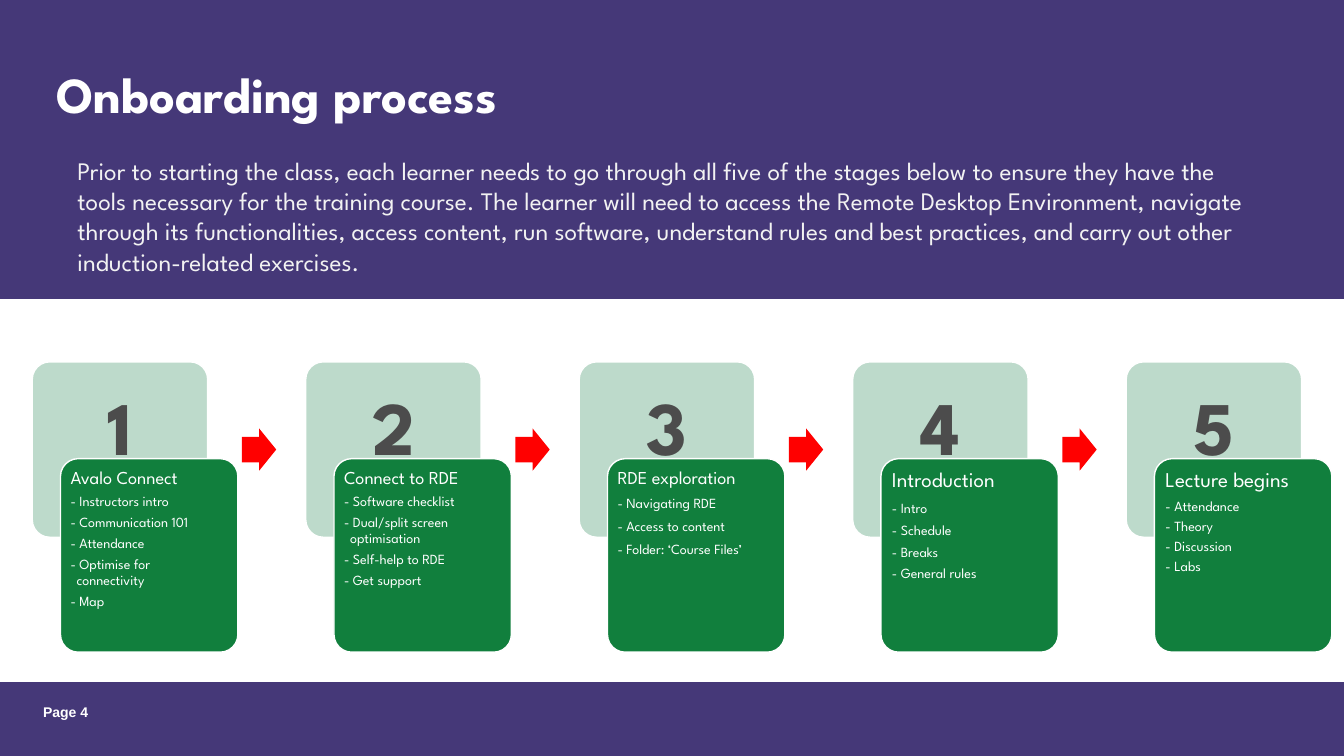
from pptx import Presentation
from pptx.dml.color import RGBColor
from pptx.enum.shapes import MSO_SHAPE
from pptx.enum.text import MSO_ANCHOR, PP_ALIGN
from pptx.util import Inches, Pt

TITLE = "Onboarding process"
INTRO = (
    "Prior to starting the class, each learner needs to go through all five of the stages "
    "below to ensure they have the tools necessary for the training course. The learner will "
    "need to access the Remote Desktop Environment, navigate through its functionalities, "
    "access content, run software, understand rules and best practices, and carry out other "
    "induction-related exercises."
)
PAGE = "Page 4"
STAGES = [
    dict(heading="Avalo Connect", heading_size=13, line=0.9, after=4.2, inset=0.05,
         steps=["Instructors intro", "Communication 101", "Attendance",
                "Optimise for connectivity", "Map"]),
    dict(heading="Connect to RDE", heading_size=13, line=0.9, after=4.2, inset=0.05,
         steps=["Software checklist", "Dual/split screen optimisation",
                "Self-help to RDE", "Get support"]),
    dict(heading="RDE exploration", heading_size=13, line=1.0, after=4.2, inset=0.05,
         steps=["Navigating RDE", "Access to content", "Folder: ‘Course Files’"]),
    dict(heading="Introduction", heading_size=15, line=1.0, after=3.5, inset=0.06,
         steps=["Intro", "Schedule", "Breaks", "General rules"]),
    dict(heading="Lecture begins", heading_size=15, line=0.9, after=3.5, inset=0.06,
         steps=["Attendance", "Theory", "Discussion", "Labs"]),
]

PURPLE, WHITE, PALE_GREEN, GREEN = "453878", "FFFFFF", "BDDACB", "117F3D"
RED, GREY, OFF_WHITE = "FF0000", "4C4C4C", "F2F2F2"
PITCH = 2.7125
HANGING = 0.06


def color(value):
    return RGBColor.from_string(value)


def add_block(kind, left, top, width, height, fill, line=None, adjust=()):
    block = slide.shapes.add_shape(
        kind, Inches(left), Inches(top), Inches(width), Inches(height))
    block.shadow.inherit = False
    block.fill.solid()
    block.fill.fore_color.rgb = color(fill)
    if line:
        block.line.color.rgb = color(line)
        block.line.width = Pt(1)
    else:
        block.line.fill.background()
    for index, value in enumerate(adjust):
        block.adjustments[index] = value


def add_frame(left, top, width, height, insets=(0.1, 0.05, 0.1, 0.05),
              anchor=MSO_ANCHOR.TOP, wrap=True):
    frame = slide.shapes.add_textbox(
        Inches(left), Inches(top), Inches(width), Inches(height)).text_frame
    frame.word_wrap = wrap
    frame.vertical_anchor = anchor
    (frame.margin_left, frame.margin_top,
     frame.margin_right, frame.margin_bottom) = map(Inches, insets)
    return frame


def write(frame, text, size, ink=WHITE, font="League Spartan", bold=False,
          align=PP_ALIGN.LEFT, line=1.0, after=0, hanging=0):
    paragraph = frame.paragraphs[0]
    if paragraph.runs:
        paragraph = frame.add_paragraph()
    paragraph.alignment = align
    paragraph.line_spacing = line
    paragraph.space_after = Pt(after)
    if hanging:
        properties = paragraph._p.get_or_add_pPr()
        properties.set("marL", str(Inches(hanging)))
        properties.set("indent", str(-Inches(hanging)))
    run = paragraph.add_run()
    run.text = text
    run.font.name = font
    run.font.size = Pt(size)
    run.font.bold = bold
    run.font.color.rgb = color(ink)


def add_stage(number, stage):
    left = 0.32 + (number - 1) * PITCH
    add_block(MSO_SHAPE.ROUNDED_RECTANGLE, left, 3.59, 1.74, 1.74,
              PALE_GREEN, WHITE, [0.1])
    add_block(MSO_SHAPE.ROUNDED_RECTANGLE, left + 0.28, 4.55, 1.76, 1.92,
              GREEN, WHITE, [0.1])
    inset = stage["inset"]
    card = add_frame(left + 0.33, 4.6, 1.66, 1.82, (inset, inset, 0.2, inset))
    write(card, stage["heading"], stage["heading_size"], line=0.9,
          after=0.35 * stage["heading_size"])
    for step in stage["steps"]:
        write(card, f"- {step}", 10, line=stage["line"], after=stage["after"],
              hanging=HANGING)
    if number < len(STAGES):
        add_block(MSO_SHAPE.RIGHT_ARROW, left + 2.08, 4.25, 0.34, 0.42,
                  RED, adjust=[0.6, 0.5])
    write(add_frame(left + 0.56, 3.72, 0.62, 1.01, wrap=False), str(number), 54,
          ink=GREY, bold=True, align=PP_ALIGN.CENTER)


deck = Presentation()
deck.slide_width, deck.slide_height = Inches(13.33), Inches(7.5)
slide = deck.slides.add_slide(deck.slide_layouts[6])

add_block(MSO_SHAPE.RECTANGLE, 0, 0, 13.33, 7.5, PURPLE)
add_block(MSO_SHAPE.RECTANGLE, 0, 2.97, 13.33, 3.79, WHITE, WHITE)
write(add_frame(0.56, 0.61, 12.2, 0.64, (0, 0, 0, 0), MSO_ANCHOR.MIDDLE),
      TITLE, 36, bold=True)
for number, stage in enumerate(STAGES, 1):
    add_stage(number, stage)
write(add_frame(0.67, 1.49, 11.93, 1.31), INTRO, 18, ink=OFF_WHITE)
write(add_frame(0.33, 6.93, 1.44, 0.27), PAGE, 10, font="Arial", bold=True)

deck.save("out.pptx")
